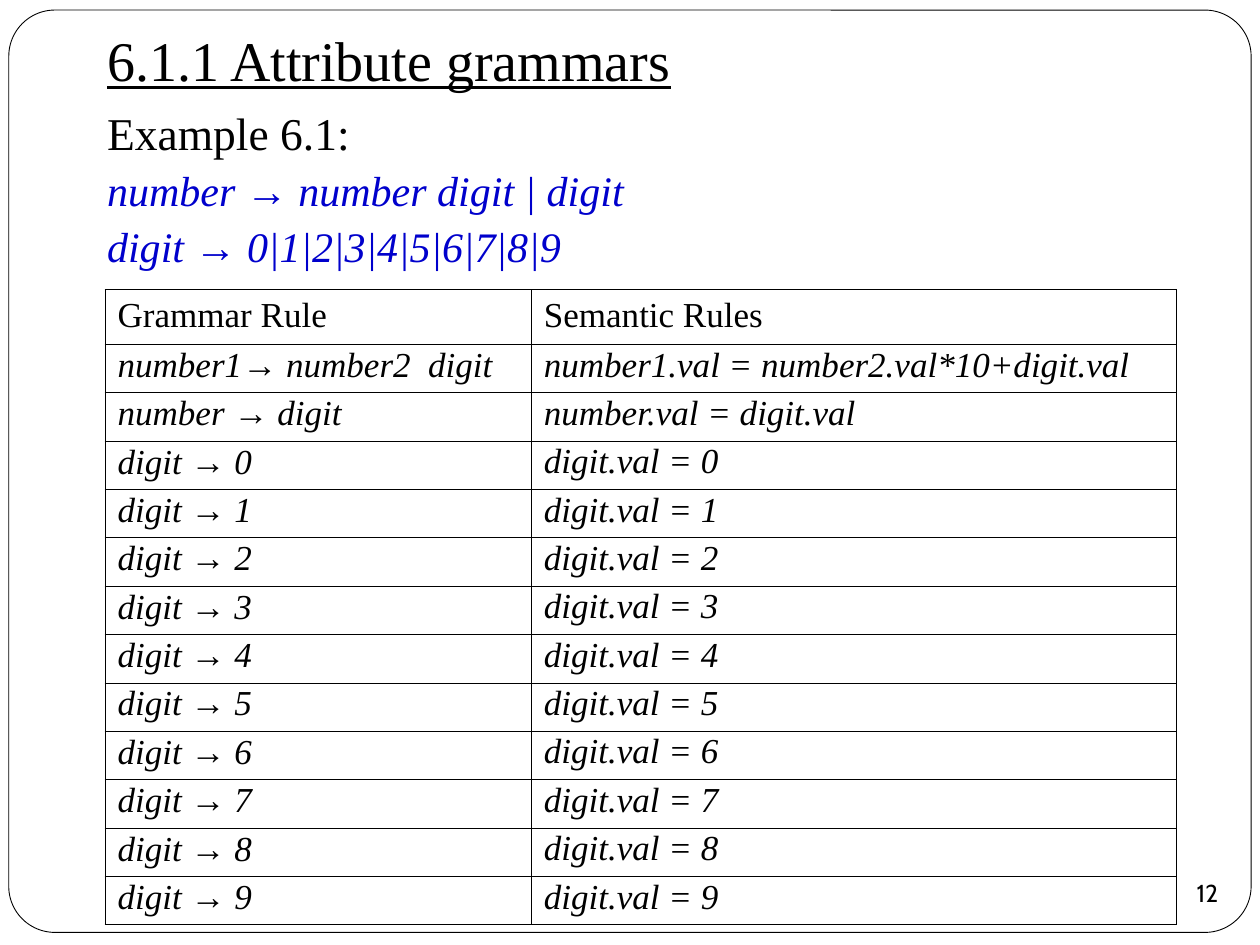
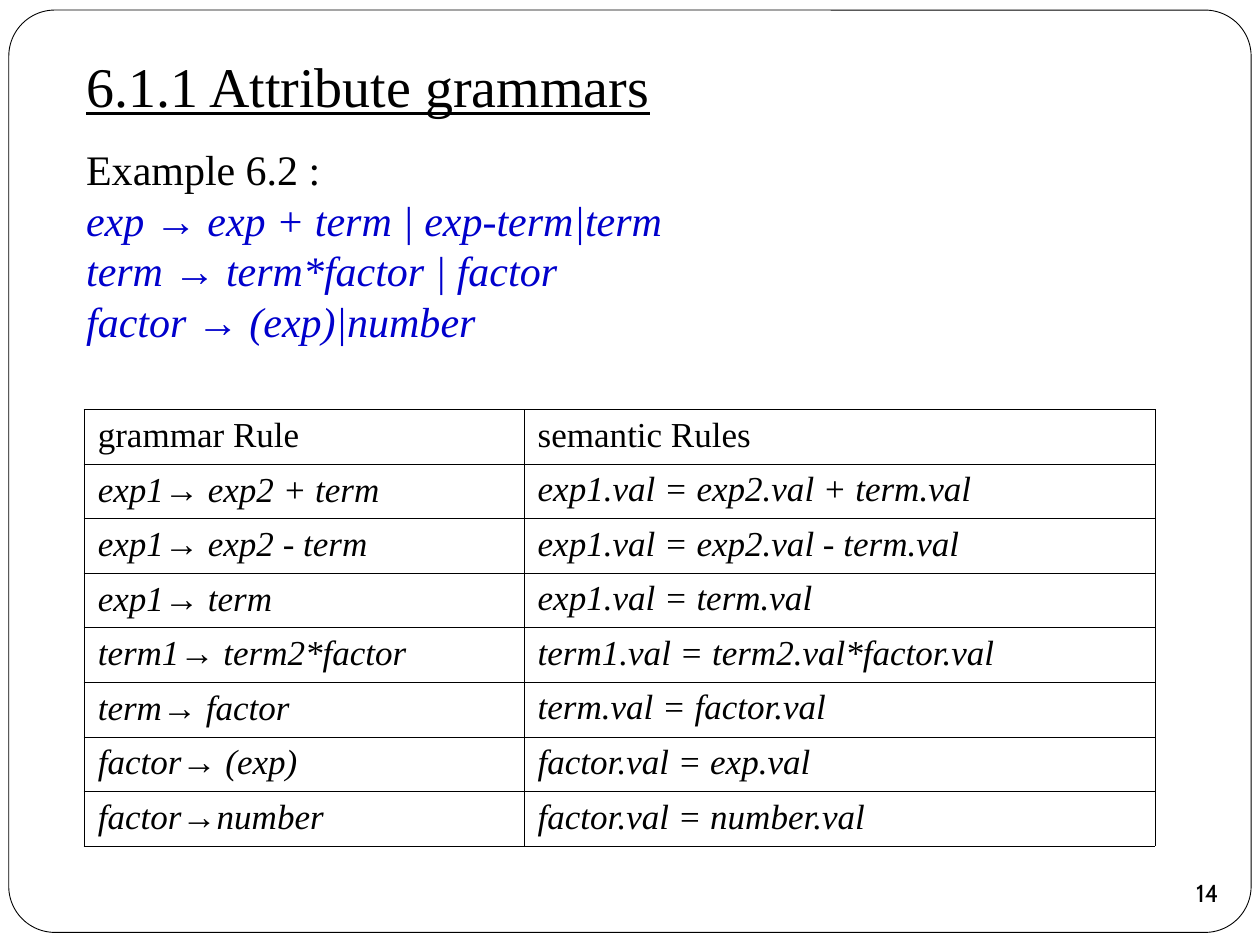
from lxml import etree
from pptx import Presentation
from pptx.dml.color import RGBColor
from pptx.enum.shapes import MSO_SHAPE
from pptx.enum.text import MSO_ANCHOR, MSO_AUTO_SIZE, PP_ALIGN
from pptx.oxml.ns import qn
from pptx.util import Inches, Pt

# Shared style
BLACK = RGBColor(0x00, 0x00, 0x00)
WHITE = RGBColor(0xFF, 0xFF, 0xFF)
BLUE = RGBColor(0x00, 0x00, 0xCC)
SERIF, SANS, ARROW_FONT = "Times New Roman", "Cabin", "Arial"
ARROW = "→"
LEFT, CENTER = PP_ALIGN.LEFT, PP_ALIGN.CENTER
MIDDLE, BOTTOM = MSO_ANCHOR.MIDDLE, MSO_ANCHOR.BOTTOM
NO_AUTOFIT = MSO_AUTO_SIZE.NONE
ROUND_RECT, OVAL = MSO_SHAPE.ROUNDED_RECTANGLE, MSO_SHAPE.OVAL

# The slide is a grid of 120 columns by 90 rows
WIDTH, HEIGHT = Inches(10), Inches(7.5)
COLS, ROWS = 120, 90
TABLE_WIDTH, HEADER_HEIGHT = 102, 5.2


def grid(col, row, cols, rows):
    """Turn grid columns and rows into left, top, width, height."""
    return (int(WIDTH * col / COLS), int(HEIGHT * row / ROWS),
            int(WIDTH * cols / COLS), int(HEIGHT * rows / ROWS))


class Deck:
    def __init__(self):
        self.prs = Presentation()
        self.prs.slide_width, self.prs.slide_height = WIDTH, HEIGHT
        self.slide = None

    def new_slide(self, number):
        self.slide = self.prs.slides.add_slide(self.prs.slide_layouts[1])
        self.frame()
        self.page_number(number)

    def shape(self, kind, box):
        sp = self.slide.shapes.add_shape(kind, *grid(*box))
        sp.shadow.inherit = False
        return sp

    def frame(self):
        sp = self.shape(ROUND_RECT, (0.84, 0.96, 118.32, 87.84))
        sp.adjustments[0] = 0.05
        sp.fill.solid()
        sp.fill.fore_color.rgb = WHITE
        sp.line.color.rgb = BLACK
        sp.line.width = Pt(0.5)
        self.slide.shapes._spTree.insert(2, sp._element)  # send to back

    def page_number(self, number):
        sp = self.shape(OVAL, (112, 82, 6, 6))
        sp.fill.background()
        sp.line.fill.background()
        tf = sp.text_frame
        self.insets(tf, 0, 0, 0)
        tf.word_wrap = False
        tf.vertical_anchor = MIDDLE
        p = tf.paragraphs[0]
        p.alignment = CENTER
        self.run(p, str(number), 14, name=SANS)

    def insets(self, target, side, top, bottom):
        target.margin_left = target.margin_right = Inches(side)
        target.margin_top, target.margin_bottom = Inches(top), Inches(bottom)

    def run(self, p, text, size, color=BLACK, italic=False, name=SERIF):
        r = p.add_run()
        r.text = text
        font = r.font
        font.name, font.size, font.italic = name, Pt(size), italic
        font.color.rgb = color
        return r

    def rule(self, p, text, size, color=BLACK, italic=False):
        """Write a line, giving its arrow a font of its own."""
        before, arrow, after = text.partition(ARROW)
        for part, name in ((before, SERIF), (arrow, ARROW_FONT), (after, SERIF)):
            if part:
                self.run(p, part, size, color, italic, name)

    def hang(self, p, indent):
        pPr = p._p.get_or_add_pPr()
        pPr.set("marL", str(Inches(indent)))
        pPr.set("indent", str(-Inches(indent)))
        return pPr

    def place(self, sp, box):
        sp.left, sp.top, sp.width, sp.height = grid(*box)
        tf = sp.text_frame
        tf.word_wrap = True
        tf.auto_size = NO_AUTOFIT
        return tf

    def title(self, text, box):
        tf = self.place(self.slide.shapes.title, box)
        tf.vertical_anchor = BOTTOM
        self.insets(tf, 0.1, 0.05, 0.1)
        p = tf.paragraphs[0]
        p.alignment = LEFT
        self.run(p, text, 32).font.underline = True

    def body(self, heading, heading_size, rules, box, spacing):
        tf = self.place(self.slide.placeholders[1], box)
        for i, text in enumerate([heading] + rules):
            p = tf.add_paragraph() if i else tf.paragraphs[0]
            etree.SubElement(self.hang(p, 0.5), qn("a:buNone"))
            p.alignment = LEFT
            p.line_spacing = spacing
            p.space_before = Pt(5.8 if i else 0)
            if i:
                self.rule(p, text, 24, BLUE, True)
            else:
                self.run(p, text, heading_size)

    def border(self, cell):
        tcPr = cell._tc.get_or_add_tcPr()
        for side in ("lnL", "lnR", "lnT", "lnB"):
            ln = etree.SubElement(tcPr, qn("a:" + side), w=str(Pt(0.45)))
            fill = etree.SubElement(ln, qn("a:solidFill"))
            etree.SubElement(fill, qn("a:srgbClr"), val=str(BLACK))

    def table(self, lines, col, row, first_col, row_height, pad, spacing):
        height = HEADER_HEIGHT + row_height * (len(lines) - 1)
        box = grid(col, row, TABLE_WIDTH, height)
        table = self.slide.shapes.add_table(len(lines), 2, *box).table
        table.first_row = table.horz_banding = False
        for column, cols in zip(table.columns, (first_col, TABLE_WIDTH - first_col)):
            column.width = int(WIDTH * cols / COLS)
        for i, line in enumerate(lines):
            table.rows[i].height = int(HEIGHT * (row_height if i else HEADER_HEIGHT) / ROWS)
            for j, text in enumerate(line):
                cell = table.cell(i, j)
                self.insets(cell, pad, 0.05, 0.05)
                self.border(cell)
                cell.fill.background()
                p = cell.text_frame.paragraphs[0]
                self.hang(p, 0.38)
                p.line_spacing = spacing if i else 1.0
                self.rule(p, text, 20, italic=i > 0)


def main():
    deck = Deck()
    title = "6.1.1 Attribute grammars"

    # Example 6.1: numbers
    deck.new_slide(12)
    deck.title(title, (9, 3, 102, 7))
    deck.body("Example 6.1:", 26,
              ["number → number digit | digit", "digit → 0|1|2|3|4|5|6|7|8|9"],
              (9, 10, 87, 18), 0.9)
    number_rules = [
        ("Grammar Rule", "Semantic Rules"),
        ("number1→ number2  digit", "number1.val = number2.val*10+digit.val"),
        ("number → digit", "number.val = digit.val"),
    ]
    number_rules += [(f"digit → {d}", f"digit.val = {d}") for d in range(10)]
    deck.table(number_rules, 10, 27.6, 40.6, 4.61, 0.1, 0.85)

    # Example 6.2: expressions
    deck.new_slide(14)
    deck.title(title, (7, 5, 102, 7.5))
    deck.body("Example 6.2 :", 24,
              ["exp → exp + term | exp-term|term", "term → term*factor | factor",
               "factor → (exp)|number"],
              (7, 14, 103, 20), 0.8)
    expression_rules = [
        ("grammar Rule", "semantic Rules"),
        ("exp1→ exp2 + term", "exp1.val = exp2.val + term.val"),
        ("exp1→ exp2 - term", "exp1.val = exp2.val - term.val"),
        ("exp1→ term", "exp1.val = term.val"),
        ("term1→ term2*factor", "term1.val = term2.val*factor.val"),
        ("term→ factor", "term.val = factor.val"),
        ("factor→ (exp)", "factor.val = exp.val"),
        ("factor→number", "factor.val = number.val"),
    ]
    deck.table(expression_rules, 8, 39, 41.9, HEADER_HEIGHT, 0.11, 1.0)

    deck.prs.save("out.pptx")


if __name__ == "__main__":
    main()
